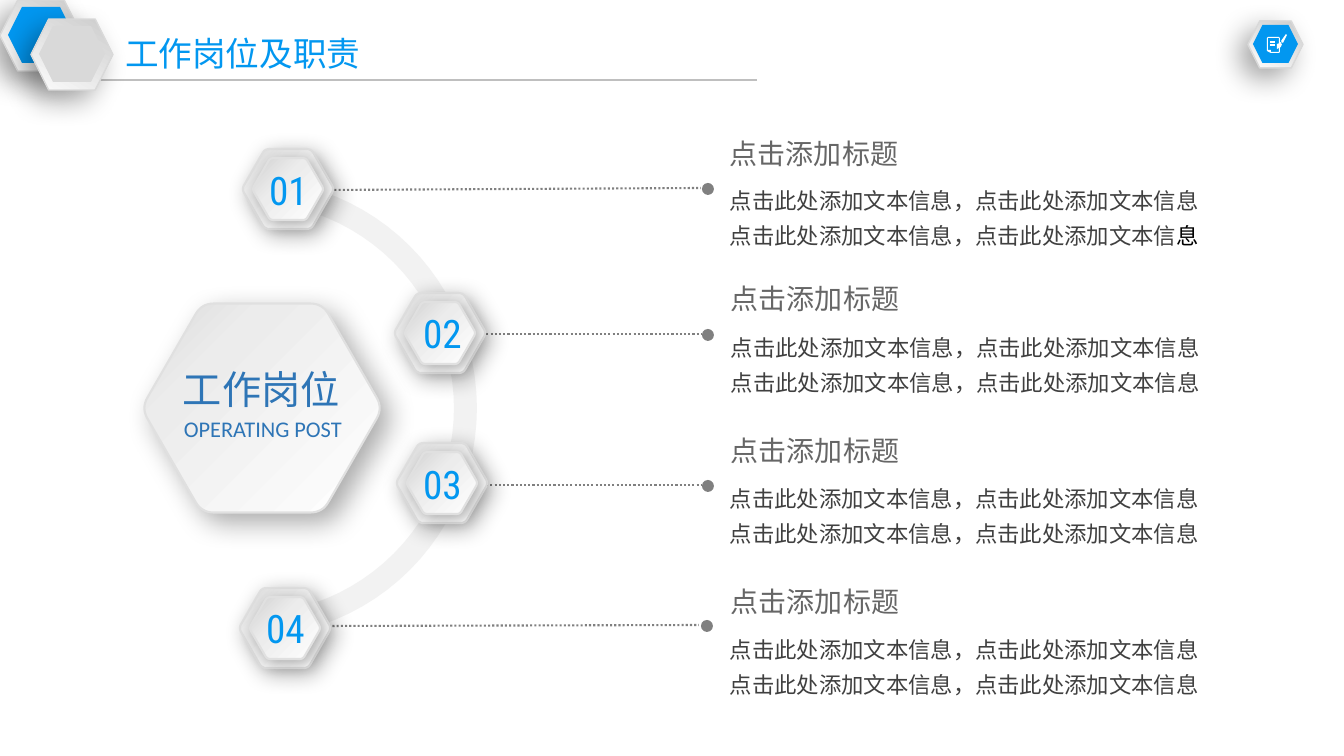
from dataclasses import dataclass
from math import cos, pi, sin, sqrt

from lxml import etree
from pptx import Presentation
from pptx.dml.color import RGBColor
from pptx.enum.dml import MSO_LINE
from pptx.enum.shapes import MSO_CONNECTOR, MSO_SHAPE
from pptx.enum.text import MSO_ANCHOR, MSO_AUTO_SIZE, PP_ALIGN
from pptx.oxml.ns import qn
from pptx.util import Emu, Pt

HEXAGON, OVAL = MSO_SHAPE.HEXAGON, MSO_SHAPE.OVAL
STRAIGHT, DOTTED = MSO_CONNECTOR.STRAIGHT, MSO_LINE.ROUND_DOT
LEFT, CENTER, JUSTIFY = PP_ALIGN.LEFT, PP_ALIGN.CENTER, PP_ALIGN.JUSTIFY
TOP, NO_AUTOFIT = MSO_ANCHOR.TOP, MSO_AUTO_SIZE.NONE

BLUE = RGBColor(0x02, 0x97, 0xF0)
DEEP_BLUE = RGBColor(0x2E, 0x75, 0xB6)
WHITE = RGBColor(0xFF, 0xFF, 0xFF)
BLACK = RGBColor(0x00, 0x00, 0x00)
INK = RGBColor(0x40, 0x40, 0x40)
HEADING_GRAY = RGBColor(0x66, 0x66, 0x66)
LEADER_GRAY = RGBColor(0x80, 0x80, 0x80)
RULE_GRAY = RGBColor(0xBF, 0xBF, 0xBF)
PLATE_GRAY = RGBColor(0xD9, 0xD9, 0xD9)
RIM_GRAY = RGBColor(0xE0, 0xE0, 0xE0)
BAND_GRAY = RGBColor(0xF2, 0xF2, 0xF2)

CJK, NUMERAL, LATIN = "Noto Sans CJK SC", "Roboto Condensed", "Calibri"
EMU_PER_PX = 914400 / 100.8
SENTENCE = "点击此处添加文本信息，点击此处添加文本信息"


@dataclass(frozen=True)
class Finish:
    """Gradient, rim and shadow of a raised plate."""
    stops: tuple[tuple[int, str], ...]
    angle: int
    rim: RGBColor
    rim_pt: float
    shadow: tuple[int, int, int, int]  # opacity %, blur pt, distance pt, degrees


@dataclass(frozen=True)
class Post:
    number: str
    badge: tuple[int, int]
    label: tuple[int, int]
    leader: tuple[int, int, int, int]
    dot: tuple[int, int]
    heading: tuple[int, int]
    body: tuple[int, int, int]
    last_color: RGBColor = INK


HEADER = Finish(((0, "CCCCCC"), (100, "FCFCFC")), 120, PLATE_GRAY, 1, (34, 20, 10, 136))
SOFT = ((0, "FFFFFF"), (73, "ECECEC"), (100, "D9D9D9"))
HUB = Finish(SOFT, 45, RIM_GRAY, 1.5, (32, 20, 9, 45))
BADGE = Finish(SOFT, 45, RIM_GRAY, 1.5, (32, 16, 5, 45))
BADGE_CORE = Finish(((0, "FFFFFF"), (60, "ECECEC"), (100, "D1D1D1")), 45,
                    RIM_GRAY, 1.5, (33, 12, 3, 45))

POSTS = (
    Post("01", (288, 189), (240, 161), (326, 190, 701, 188), (702, 183),
         (720, 132), (720, 174, 531), BLACK),
    Post("02", (440, 333), (394, 304), (478, 334, 701, 334), (702, 329),
         (721, 277), (721, 321, 507)),
    Post("03", (442, 483), (394, 455), (482, 485, 701, 485), (702, 480),
         (721, 429), (720, 472, 512)),
    Post("04", (285, 628), (237, 599), (324, 626, 699, 625), (701, 620),
         (721, 580), (720, 623, 512)),
)


def px(value: float) -> Emu:
    return Emu(round(value * EMU_PER_PX))


def paint(shape, color: RGBColor) -> None:
    shape.shadow.inherit = False
    shape.fill.solid()
    shape.fill.fore_color.rgb = color
    shape.line.fill.background()


def raise_plate(shape, finish: Finish) -> None:
    shape.shadow.inherit = False
    shape.fill.background()
    shape.line.color.rgb = finish.rim
    shape.line.width = Pt(finish.rim_pt)
    properties = shape.fill._xPr
    gradient = etree.Element(qn("a:gradFill"), rotWithShape="1")
    stops = etree.SubElement(gradient, qn("a:gsLst"))
    for position, color in finish.stops:
        stop = etree.SubElement(stops, qn("a:gs"), pos=str(position * 1000))
        etree.SubElement(stop, qn("a:srgbClr"), val=color)
    etree.SubElement(gradient, qn("a:lin"), ang=str(finish.angle * 60000), scaled="0")
    properties.replace(properties.find(qn("a:noFill")), gradient)
    opacity, blur, distance, degrees = finish.shadow
    outer = etree.SubElement(properties.find(qn("a:effectLst")), qn("a:outerShdw"),
                             blurRad=str(Pt(blur)), dist=str(Pt(distance)),
                             dir=str(degrees * 60000), algn="ctr", rotWithShape="0")
    black = etree.SubElement(outer, qn("a:srgbClr"), val="000000")
    etree.SubElement(black, qn("a:alpha"), val=str(opacity * 1000))


def add_preset(slide, kind, x: int, y: int, w: int, h: int):
    return slide.shapes.add_shape(kind, px(x), px(y), px(w), px(h))


def add_outline(slide, *contours):
    first, *holes = [[(px(x), px(y)) for x, y in contour] for contour in contours]
    builder = slide.shapes.build_freeform(*first[0], scale=1.0)
    builder.add_line_segments(first[1:], close=True)
    for hole in holes:
        builder.move_to(*hole[0])
        builder.add_line_segments(hole[1:], close=True)
    return builder.convert_to_shape()


def add_line(slide, ends: tuple[int, int, int, int], color: RGBColor, width: float, dash=None):
    line = slide.shapes.add_connector(STRAIGHT, *map(px, ends))
    line.line.color.rgb = color
    line.line.width = Pt(width)
    if dash:
        line.line.dash_style = dash
    etree.SubElement(line._element.spPr, qn("a:effectLst"))


def add_rounded_hexagon(slide, center: tuple[int, int], height: int, finish: Finish) -> None:
    radius = height / sqrt(3)
    corners = [(center[0] + radius * cos(k * pi / 3), center[1] + radius * sin(k * pi / 3))
               for k in range(6)]
    points = []
    for k, corner in enumerate(corners):
        start, end = [tuple(c + (n - c) / 10 for c, n in zip(corner, neighbor))
                      for neighbor in (corners(k - 1) if callable(corners) else corners[k - 1],
                                       corners[(k + 1) % 6])]
        for t in (step / 8 for step in range(9)):
            points.append(tuple((1 - t) ** 2 * a + 2 * t * (1 - t) * b + t * t * c
                                for a, b, c in zip(start, corner, end)))
    plate = add_outline(slide, points)
    plate.rotation = 180
    raise_plate(plate, finish)


def add_run(paragraph, text: str, size: int, font: str, color: RGBColor) -> None:
    run = paragraph.add_run()
    run.text = text
    for attribute, value in {"size": Pt(size), "name": font}.items():
        setattr(run.font, attribute, value)
    run.font.color.rgb = color
    etree.SubElement(run.font._element, qn("a:ea"), typeface=font)


def add_text(slide, box: tuple[int, int, int, int], text: str, size: int, font: str,
             color: RGBColor, align=LEFT, wrap: bool = True) -> None:
    frame = slide.shapes.add_textbox(*map(px, box)).text_frame
    frame.word_wrap = wrap
    frame.paragraphs[0].alignment = align
    add_run(frame.paragraphs[0], text, size, font, color)


def add_header(slide) -> None:
    add_line(slide, (82, 80, 757, 80), RULE_GRAY, 1)
    for x, y, w, h, inset, color in ((0, 0, 82, 71, 8, BLUE), (31, 19, 82, 71, 8, PLATE_GRAY),
                                     (1248, 21, 55, 47, 5, BLUE)):
        raise_plate(add_preset(slide, HEXAGON, x, y, w, h), HEADER)
        paint(add_preset(slide, HEXAGON, x + inset, y + inset - 1,
                         w - 2 * inset, h - 2 * inset + 1), color)
    title = slide.shapes.title
    placement = {"left": 115, "top": 28, "width": 270, "height": 50}
    for attribute, value in placement.items():
        setattr(title, attribute, px(value))
    frame = title.text_frame
    for attribute, value in {"vertical_anchor": TOP, "auto_size": NO_AUTOFIT,
                             "word_wrap": True}.items():
        setattr(frame, attribute, value)
    frame.paragraphs[0].alignment = LEFT
    add_run(frame.paragraphs[0], "工作岗位及职责", 24, CJK, BLUE)


def add_note_icon(slide) -> None:
    pen = [(1286, 34), (1281, 41), (1283, 43), (1287, 35)]
    tip = [(1280, 42), (1282, 43), (1280, 44)]
    nib = [(1280, 43), (1277, 44), (1277, 49), (1281, 47), (1282, 44)]
    sheet = [(1267, 38), (1268, 37), (1279, 37), (1280, 38), (1280, 52), (1279, 53),
             (1271, 53), (1267, 51)]
    page = [(1268, 38), (1279, 38), (1279, 52), (1271, 52), (1271, 50), (1268, 50)]
    for contours in ((pen,), (tip,), (nib,), (sheet, page)):
        paint(add_outline(slide, *contours), WHITE)
    for y in (41, 42, 44, 45):
        add_line(slide, (1270, y, 1275, y), WHITE, 0.25)


def add_band(slide, center: tuple[int, int], outer: int, inner: int) -> None:
    angles = [(step / 48 - 0.5) * pi for step in range(49)]
    edges = [(outer, angle) for angle in angles] + [(inner, angle) for angle in angles[::-1]]
    paint(add_outline(slide, [(center[0] + r * cos(a), center[1] + r * sin(a))
                              for r, a in edges]), BAND_GRAY)


def add_post(slide, post: Post) -> None:
    add_rounded_hexagon(slide, post.badge, 80, BADGE)
    add_rounded_hexagon(slide, post.badge, 62, BADGE_CORE)
    add_text(slide, (*post.label, 97, 57), post.number, 28, NUMERAL, BLUE, CENTER)
    add_text(slide, (*post.heading, 190, 44), "点击添加标题", 20, CJK, HEADING_GRAY, wrap=False)
    x, y, width = post.body
    frame = slide.shapes.add_textbox(px(x), px(y), px(width), px(81)).text_frame
    frame.word_wrap = True
    for paragraph, last_color in ((frame.paragraphs[0], INK),
                                  (frame.add_paragraph(), post.last_color)):
        paragraph.alignment = JUSTIFY
        paragraph.line_spacing = 1.3
        pieces = ((SENTENCE, INK),)
        if last_color != INK:
            pieces = ((SENTENCE[:-1], INK), (SENTENCE[-1], last_color))
        for text, color in pieces:
            add_run(paragraph, text, 16, CJK, color)


def main() -> None:
    deck = Presentation()
    deck.slide_width, deck.slide_height = px(1344), px(756)
    slide = deck.slides.add_slide(deck.slide_layouts.get_by_name("Title Only"))
    add_header(slide)
    add_note_icon(slide)
    # Leaders and band lie beneath the badges
    for post in POSTS:
        add_line(slide, post.leader, LEADER_GRAY, 1.5, DOTTED)
        paint(add_preset(slide, OVAL, *post.dot, 12, 12), LEADER_GRAY)
    add_band(slide, (248, 408), 229, 206)
    # Central hub
    add_rounded_hexagon(slide, (262, 408), 209, HUB)
    add_text(slide, (173, 360, 191, 57), "工作岗位", 28, CJK, DEEP_BLUE, wrap=False)
    add_text(slide, (174, 410, 182, 37), "OPERATING POST", 16, LATIN, DEEP_BLUE)
    for post in POSTS:
        add_post(slide, post)
    deck.save("out.pptx")


if __name__ == "__main__":
    main()
